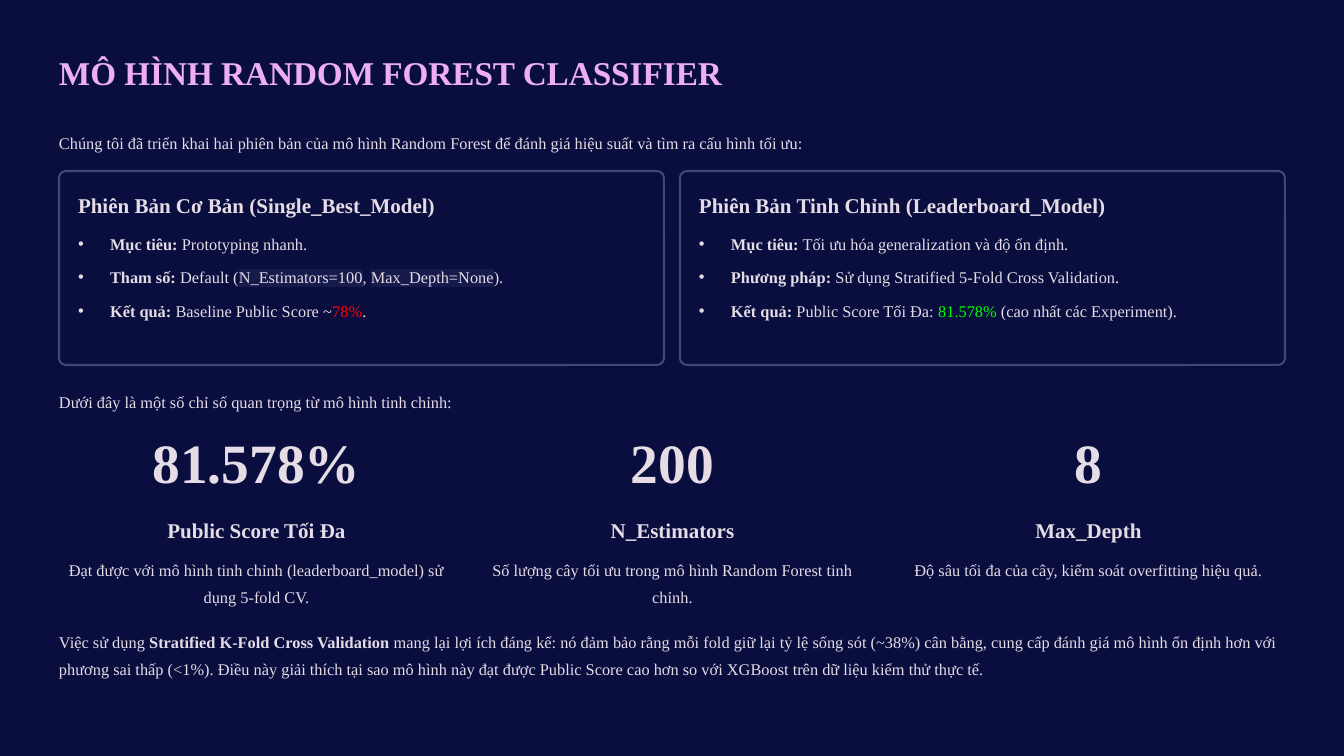
from lxml import etree
from pptx import Presentation
from pptx.dml.color import RGBColor
from pptx.enum.shapes import MSO_SHAPE
from pptx.enum.text import MSO_ANCHOR, MSO_AUTO_SIZE, PP_ALIGN
from pptx.oxml.ns import qn
from pptx.util import Emu, Pt

LEFT, MID = PP_ALIGN.LEFT, PP_ALIGN.CENTER
TOP = MSO_ANCHOR.TOP
FIXED = MSO_AUTO_SIZE.NONE
ROUND = MSO_SHAPE.ROUNDED_RECTANGLE

NAVY = RGBColor(0x09, 0x0E, 0x3F)
EDGE = RGBColor(0x41, 0x46, 0x77)
PINK = RGBColor(0xEE, 0xAE, 0xF6)
PALE = RGBColor(0xE5, 0xDC, 0xE6)
RED = RGBColor(0xFF, 0x00, 0x00)
GREEN = RGBColor(0x00, 0xFF, 0x00)
MARK = RGBColor(0x16, 0x1B, 0x4C)

FONT = "Times New Roman"
PX = 914400 / 84


def spot(*lengths):
    """Turn px lengths into EMU."""
    return [Emu(round(n * PX)) for n in lengths]


def write(shape, paras, size=14, line=23, align=LEFT, bullet=False):
    """Fill a shape; each run is (words, bold, colour, highlight), the last three optional."""
    frame = shape.text_frame
    frame.auto_size = FIXED
    frame.word_wrap = True
    frame.vertical_anchor = TOP
    frame.margin_left = frame.margin_top = frame.margin_right = frame.margin_bottom = 0
    for i, runs in enumerate(paras):
        para = frame.add_paragraph() if i else frame.paragraphs[0]
        if bullet:
            props = para._p.get_or_add_pPr()
            hang = spot(32)[0]
            props.set("marL", str(hang))
            props.set("indent", str(-hang))
            etree.SubElement(props, qn("a:buChar")).set("char", "•")
        para.alignment = align
        para.line_spacing = Pt(line)
        para.space_before = Pt(5.5 if i else 0)
        for words, bold, color, mark in (r + (False, PALE, None)[len(r) - 1:] for r in runs):
            run = para.add_run()
            run.text = words
            run.font.name = FONT
            run.font.size = Pt(size)
            run.font.bold = bold
            run.font.color.rgb = color
            if mark:
                glow = etree.Element(qn("a:highlight"))
                etree.SubElement(glow, qn("a:srgbClr")).set("val", str(mark))
                run._r.rPr.find(qn("a:solidFill")).addnext(glow)


deck = Presentation()
deck.slide_width, deck.slide_height = spot(1344, 756)
slide = deck.slides.add_slide(deck.slide_layouts[3])
slide.background.fill.solid()
slide.background.fill.fore_color.rgb = NAVY
shapes = slide.shapes

title = shapes.title
title.left, title.top, title.width, title.height = spot(59, 50, 1226, 42)
write(title, [[("MÔ HÌNH RANDOM FOREST CLASSIFIER", True, PINK)]], 28.5, 36)

leads = [
    (126, "Chúng tôi đã triển khai hai phiên bản của mô hình Random Forest để đánh giá hiệu suất và tìm ra cấu hình tối ưu:"),
    (385, "Dưới đây là một số chỉ số quan trọng từ mô hình tinh chỉnh:"),
]
for y, words in leads:
    write(shapes.add_textbox(*spot(59, y, 1226, 27)), [[(words,)]])

cards = [
    ("Phiên Bản Cơ Bản (Single_Best_Model)", [
        [("Mục tiêu:", True), (" Prototyping nhanh.",)],
        [("Tham số:", True), (" Default (",), ("N_Estimators=100", False, PALE, MARK), (", ",),
         ("Max_Depth=None", False, PALE, MARK), (").",)],
        [("Kết quả:", True), (" Baseline Public Score ~",), ("78%", False, RED), (".",)],
    ]),
    ("Phiên Bản Tinh Chỉnh (Leaderboard_Model)", [
        [("Mục tiêu:", True), (" Tối ưu hóa generalization và độ ổn định.",)],
        [("Phương pháp:", True), (" Sử dụng Stratified 5-Fold Cross Validation.",)],
        [("Kết quả:", True), (" Public Score Tối Đa: ",), ("81.578%", False, GREEN),
         (" (cao nhất các Experiment).",)],
    ]),
]
for i, (head, points) in enumerate(cards):
    x = 59 + 621 * i
    card = shapes.add_shape(ROUND, *spot(x, 171, 605, 194))
    card.adjustments[0] = 0.036
    card.shadow.inherit = False
    card.fill.solid()
    card.fill.fore_color.rgb = NAVY
    card.line.color.rgb = EDGE
    card.line.width = Pt(1.8)
    shapes._spTree.insert(2, card._element)  # behind the lists
    write(shapes.add_textbox(*spot(x + 19, 191, 567, 26)), [[(head, True)]], 18, 22.5)
    body = slide.placeholders[i + 1]
    body.left, body.top, body.width, body.height = spot(x + 19, 227, 567, 120)
    write(body, points, bullet=True)

stats = [
    ("81.578%", "Public Score Tối Đa", "Đạt được với mô hình tinh chỉnh (leaderboard_model) sử dụng 5-fold CV."),
    ("200", "N_Estimators", "Số lượng cây tối ưu trong mô hình Random Forest tinh chỉnh."),
    ("8", "Max_Depth", "Độ sâu tối đa của cây, kiểm soát overfitting hiệu quả."),
]
rows = [(439, 55, 47.5, 47.5, True), (516, 26, 18, 22.5, True), (553, 54, 14, 23, False)]
for i, stat in enumerate(stats):
    for words, (y, high, size, line, bold) in zip(stat, rows):
        box = shapes.add_textbox(*spot(59 + 416 * i, y, 395, high))
        write(box, [[(words, bold)]], size, line, MID)

write(shapes.add_textbox(*spot(59, 625, 1226, 81)), [[
    ("Việc sử dụng ",),
    ("Stratified K-Fold Cross Validation", True),
    (" mang lại lợi ích đáng kể: nó đảm bảo rằng mỗi fold giữ lại tỷ lệ sống sót (~38%) cân bằng, "
     "cung cấp đánh giá mô hình ổn định hơn với phương sai thấp (<1%). Điều này giải thích tại sao "
     "mô hình này đạt được Public Score cao hơn so với XGBoost trên dữ liệu kiểm thử thực tế.",),
]])

deck.save("out.pptx")
